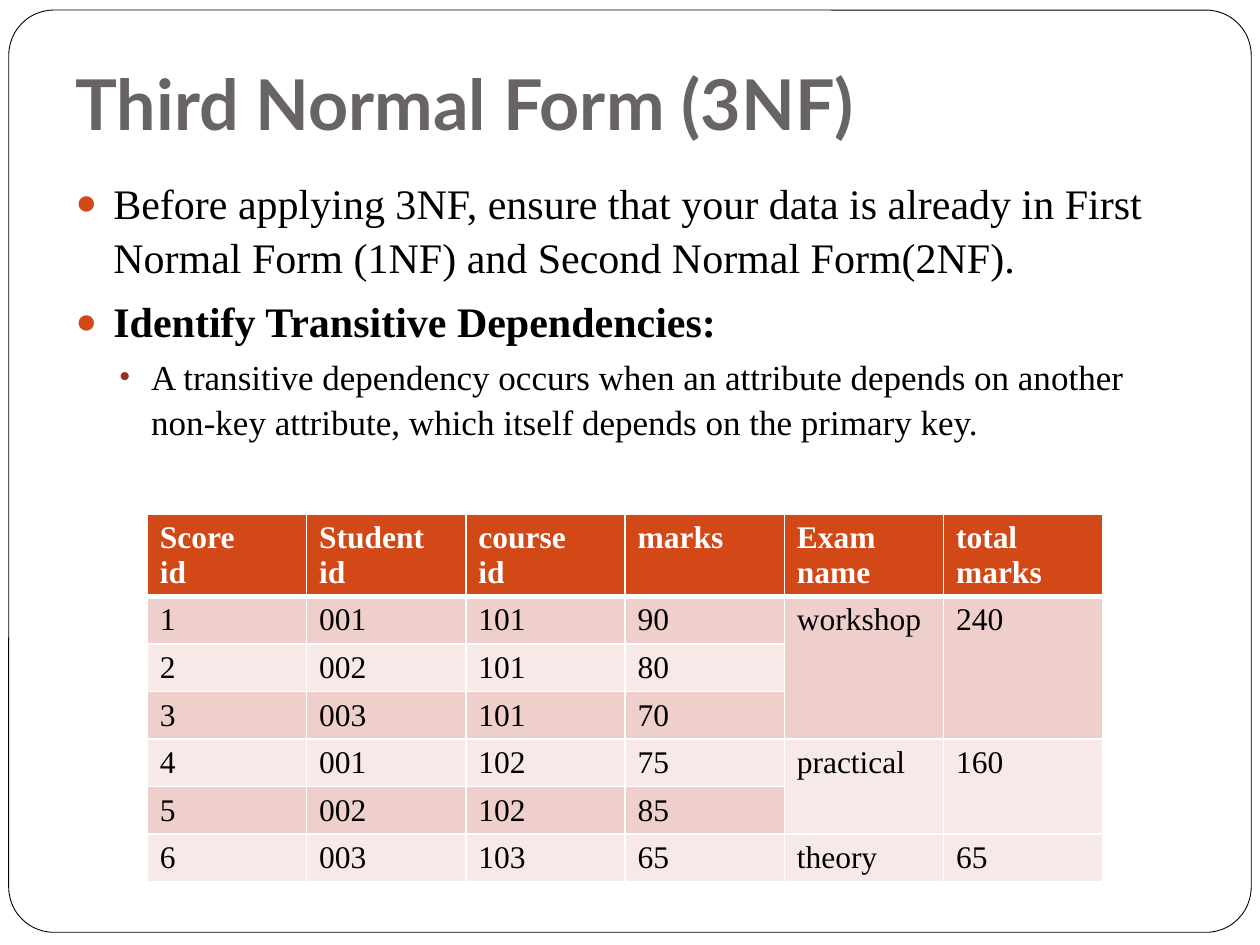
from lxml import etree
from pptx import Presentation
from pptx.dml.color import RGBColor
from pptx.enum.shapes import MSO_SHAPE
from pptx.enum.text import MSO_ANCHOR, MSO_AUTO_SIZE, PP_ALIGN
from pptx.oxml.ns import qn
from pptx.util import Pt

ROUNDED = MSO_SHAPE.ROUNDED_RECTANGLE
BOTTOM, TOP = MSO_ANCHOR.BOTTOM, MSO_ANCHOR.TOP
LEFT = PP_ALIGN.LEFT
NO_FIT = MSO_AUTO_SIZE.NONE

TITLE = "Third Normal Form (3NF)"
POINTS = [
    (0, False, "Before applying 3NF, ensure that your data is already in First "
               "Normal Form (1NF) and Second Normal Form(2NF)."),
    (0, True, "Identify Transitive Dependencies:"),
    (1, False, "A transitive dependency occurs when an attribute depends on another "
               "non-key attribute, which itself depends on the primary key."),
]
HEADER = ["Score\nid", "Student\nid", "course\nid", "marks", "Exam name", "total marks"]
SCORES = [
    ("1", "001", "101", "90"),
    ("2", "002", "101", "80"),
    ("3", "003", "101", "70"),
    ("4", "001", "102", "75"),
    ("5", "002", "102", "85"),
    ("6", "003", "103", "65"),
]
EXAMS = [(3, "workshop", "240"), (2, "practical", "160"), (1, "theory", "65")]

THEME = {
    "white": "FFFFFF", "black": "000000", "accent": "D34817",
    "bands": ("EFCFCC", "F7E9E8"),
    "title": {"name": "Lato", "size": Pt(40), "bold": True, "color": "696464"},
    "head": {"name": "Times New Roman", "size": Pt(18), "bold": True, "color": "FFFFFF"},
    "cell": {"name": "Times New Roman", "size": Pt(18), "bold": False, "color": "000000"},
    "levels": [
        {"size": 24, "left": 21.6, "hang": 21.6, "before": 5.8, "mark": "●", "mark_color": "D34817"},
        {"size": 20, "left": 43.2, "hang": 18, "before": 3.7, "mark": "•", "mark_color": "9B2D1F"},
    ],
}
FRAME = (5, 5.75, 710, 527)
TITLE_BOX = (36, 21.6, 648, 68.4)
BODY_BOX = (36, 95.8, 648, 432)
TABLE_AT = (84.2, 293.8)
COLUMN, HEAD_ROW, SCORE_ROW = 91, 41.8, 23


def set_font(font, style):
    for name, value in style.items():
        if name == "color":
            font.color.rgb = RGBColor.from_string(value)
        else:
            setattr(font, name, value)


def place(shape, box):
    for name, value in zip(("left", "top", "width", "height"), box):
        setattr(shape, name, Pt(value))


def add_node(parent, tag, **attributes):
    return etree.SubElement(parent, qn(tag), attributes)


def add_frame(page):
    frame = page.shapes.add_shape(ROUNDED, *map(Pt, FRAME))
    frame.adjustments[0] = 0.049
    frame.shadow.inherit = False
    frame.fill.solid()
    frame.fill.fore_color.rgb = RGBColor.from_string(THEME["white"])
    frame.line.color.rgb = RGBColor.from_string(THEME["black"])
    frame.line.width = Pt(0.5)
    page.shapes._spTree.insert(2, frame._element)


def fill_title(title):
    place(title, TITLE_BOX)
    box = title.text_frame
    box.text = TITLE
    box.auto_size = NO_FIT
    box.vertical_anchor = BOTTOM
    box.margin_bottom = Pt(7.2)
    para = box.paragraphs[0]
    para.alignment = LEFT
    set_font(para.runs[0].font, THEME["title"])


def fill_body(body):
    place(body, BODY_BOX)
    box = body.text_frame
    box.auto_size = NO_FIT
    box.vertical_anchor = TOP
    for index, (level, bold, text) in enumerate(POINTS):
        para = box.add_paragraph() if index else box.paragraphs[0]
        look = THEME["levels"][level]
        para.level = level
        para.line_spacing = 1.07
        para.space_before = Pt(look["before"])
        span = para.add_run()
        span.text = text
        set_font(span.font, {**THEME["cell"], "size": Pt(look["size"]), "bold": bold})
        layout = para._p.get_or_add_pPr()
        layout.set("marL", str(Pt(look["left"])))
        layout.set("indent", str(-Pt(look["hang"])))
        add_node(add_node(layout, "a:buClr"), "a:srgbClr", val=look["mark_color"])
        add_node(layout, "a:buSzPct", val="85000")
        add_node(layout, "a:buChar", char=look["mark"])


def format_cell(cell, row):
    widths = {"L": 1, "R": 1, "T": 3 if row == 1 else 1, "B": 1 if row else 3}
    for side, width in widths.items():
        edge = add_node(cell._tc.get_or_add_tcPr(), f"a:ln{side}", w=str(Pt(width)))
        add_node(add_node(edge, "a:solidFill"), "a:srgbClr", val=THEME["white"])
    color = THEME["bands"][(row - 1) % 2] if row else THEME["accent"]
    cell.fill.solid()
    cell.fill.fore_color.rgb = RGBColor.from_string(color)
    for para in cell.text_frame.paragraphs:
        for span in para.runs:
            set_font(span.font, THEME["cell" if row else "head"])


def add_scores(page):
    exams = []
    for count, name, total in EXAMS:
        exams += [(name, total)] + [("", "")] * (count - 1)
    rows = [HEADER] + [score + exam for score, exam in zip(SCORES, exams)]
    height = HEAD_ROW + SCORE_ROW * len(SCORES)
    table = page.shapes.add_table(
        len(rows), len(HEADER), *map(Pt, TABLE_AT), Pt(COLUMN * len(HEADER)), Pt(height)
    ).table
    for column in table.columns:
        column.width = Pt(COLUMN)
    for row, values in enumerate(rows):
        table.rows[row].height = Pt(SCORE_ROW if row else HEAD_ROW)
        for column, value in enumerate(values):
            cell = table.cell(row, column)
            cell.text = value
            format_cell(cell, row)
    first = 1
    for count, _, _ in EXAMS:
        if count > 1:
            for column in (4, 5):
                table.cell(first, column).merge(table.cell(first + count - 1, column))
        first += count


def main():
    deck = Presentation()
    deck.slide_width, deck.slide_height = Pt(720), Pt(540)
    page = deck.slides.add_slide(deck.slide_layouts[1])
    add_frame(page)
    fill_title(page.shapes.title)
    fill_body(page.placeholders[1])
    add_scores(page)
    deck.save("out.pptx")


if __name__ == "__main__":
    main()
